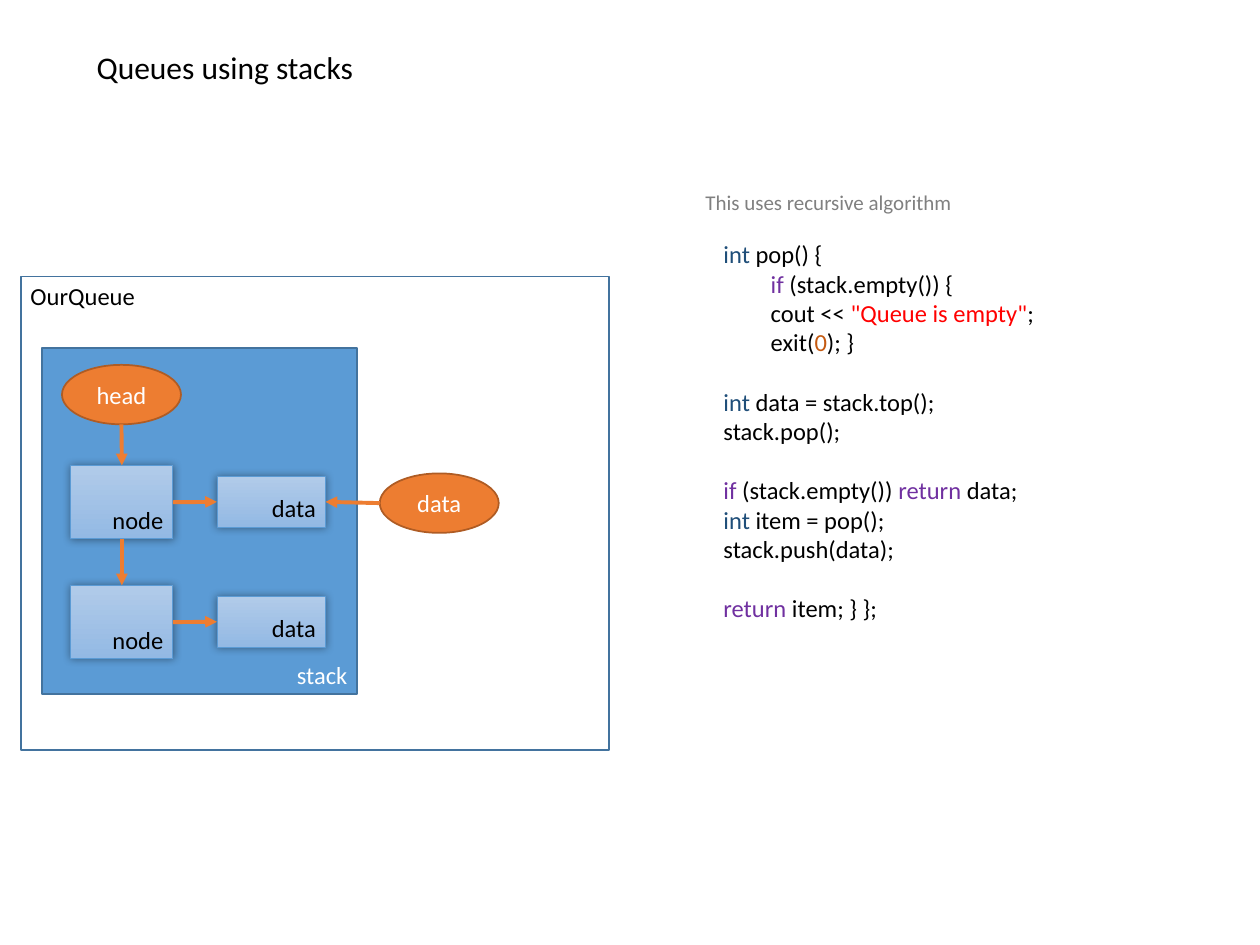
from lxml.etree import SubElement
from pptx import Presentation
from pptx.dml.color import RGBColor
from pptx.enum.shapes import MSO_CONNECTOR as CONNECTOR, MSO_SHAPE as SHAPE
from pptx.enum.text import MSO_ANCHOR as ANCHOR, PP_ALIGN as ALIGN
from pptx.oxml.ns import qn
from pptx.util import Pt

BLACK, WHITE, GREY = "000000", "FFFFFF", "808080"
BLUE, BLUE_EDGE = "5B9BD5", "43739E"
ORANGE, ORANGE_EDGE = "ED7D31", "AF5C24"
TYPE, KEYWORD, STRING, NUMBER = "1F4E79", "7030A0", "FF0000", "C55A11"
rgb = RGBColor.from_string


def add_run(paragraph, text, color=BLACK, size=14):
    run = paragraph.add_run()
    run.text = text
    run.font.name = "Calibri"
    run.font.size = Pt(size)
    run.font.color.rgb = rgb(color)


def add_box(kind, bounds, label, fill, edge, color, align, anchor):
    box = slide.shapes.add_shape(kind, *map(Pt, bounds))
    box.shadow.inherit = False
    box.line.color.rgb = rgb(edge)
    box.line.width = Pt(1)
    if fill:
        box.fill.solid()
        box.fill.fore_color.rgb = rgb(fill)
    else:
        box.fill.background()
    frame = box.text_frame
    frame.margin_left = frame.margin_right = Pt(5.4)
    frame.margin_top = frame.margin_bottom = Pt(2.7)
    frame.vertical_anchor = anchor
    frame.paragraphs[0].alignment = align
    add_run(frame.paragraphs[0], label, color)
    return box


deck = Presentation()
deck.slide_width, deck.slide_height = Pt(720), Pt(540)
slide = deck.slides.add_slide(deck.slide_layouts[5])

# Title
title = slide.shapes.title
title.left, title.top, title.width, title.height = map(Pt, (48, 24, 163, 29))
title.text_frame.word_wrap = False
title.text_frame.vertical_anchor = ANCHOR.TOP
title.text_frame.paragraphs[0].alignment = ALIGN.LEFT
add_run(title.text_frame.paragraphs[0], "Queues using stacks", size=18)

# Remark above the code
remark = slide.shapes.add_textbox(Pt(396), Pt(105), Pt(157), Pt(22)).text_frame
remark.word_wrap = False
add_run(remark.paragraphs[0], "This uses recursive algorithm", GREY, 12)

# Code: indent, space before, coloured runs
INDENT, GAP = 27, 17
code_lines = [
    (0, 0, [("int", TYPE), (" pop() {", BLACK)]),
    (INDENT, 0, [("if", KEYWORD), (" (stack.empty()) {", BLACK)]),
    (INDENT, 0, [("cout << ", BLACK), ('"Queue is empty"', STRING), (";", BLACK)]),
    (INDENT, 0, [("exit(", BLACK), ("0", NUMBER), ("); }", BLACK)]),
    (0, GAP, [("int", TYPE), (" data = stack.top();", BLACK)]),
    (0, 0, [("stack.pop();", BLACK)]),
    (0, GAP, [("if", KEYWORD), (" (stack.empty()) ", BLACK),
              ("return", KEYWORD), (" data;", BLACK)]),
    (0, 0, [("int", TYPE), (" item = pop();", BLACK)]),
    (0, 0, [("stack.push(data);", BLACK)]),
    (0, GAP, [("return", KEYWORD), (" item; } };", BLACK)]),
]
code = slide.shapes.add_textbox(Pt(408), Pt(134), Pt(193), Pt(226)).text_frame
code.word_wrap = False
code.margin_left = code.margin_right = Pt(5.4)
code.margin_top = code.margin_bottom = Pt(2.7)
for number, (indent, gap, pieces) in enumerate(code_lines):
    line = code.add_paragraph() if number else code.paragraphs[0]
    line.space_before = Pt(gap)
    line._p.get_or_add_pPr().set("marL", str(int(Pt(indent))))
    for text, color in pieces:
        add_run(line, text, color)

# Queue, the stack inside it, and the two pointers
add_box(SHAPE.RECTANGLE, (12, 158, 336, 270.5), "OurQueue", None, BLUE_EDGE,
        BLACK, ALIGN.LEFT, ANCHOR.TOP)
add_box(SHAPE.RECTANGLE, (24, 198.7, 180, 198), "stack", BLUE, BLUE_EDGE,
        WHITE, ALIGN.RIGHT, ANCHOR.BOTTOM)
head, popped = [
    add_box(SHAPE.OVAL, (left, top, 68, 34), label, ORANGE, ORANGE_EDGE,
            WHITE, ALIGN.CENTER, ANCHOR.MIDDLE)
    for label, left, top in (("head", 35.4, 208.5), ("data", 217, 270.5))]

# Each row of the stack: a node and its data
rows = []
for top in (266, 334.5):
    row = []
    for label, bounds in (("node", (40.5, top, 58.3, 42)),
                          ("data", (124, top + 6.3, 62, 29))):
        cell = add_box(SHAPE.RECTANGLE, bounds, label, None, BLUE,
                       BLACK, ALIGN.RIGHT, ANCHOR.BOTTOM)
        cell.line.width = Pt(0.5)
        cell.fill.gradient()
        cell.fill.gradient_angle = 270
        for stop, color in zip(cell.fill.gradient_stops, ("B1CBE9", "93B9E4")):
            stop.color.rgb = rgb(color)
        effects = cell._element.spPr.find(qn("a:effectLst"))
        shadow = SubElement(effects, qn("a:outerShdw"), blurRad=str(int(Pt(5))),
                            dist="0", dir="0", algn="ctr", rotWithShape="0")
        shade = SubElement(shadow, qn("a:srgbClr"), val=BLACK)
        SubElement(shade, qn("a:alpha"), val="40000")
        row.append(cell)
    rows.append(row)
(top_node, top_data), (next_node, next_data) = rows

# Arrows between the middles of sides, numbered as connection sites
TOP, LEFT, BOTTOM, RIGHT = range(4)
side_middles = {TOP: (0.5, 0), LEFT: (0, 0.5), BOTTOM: (0.5, 1), RIGHT: (1, 0.5)}
for start, start_side, end, end_side in (
        (head, BOTTOM, top_node, TOP),
        (top_node, RIGHT, top_data, LEFT),
        (top_node, BOTTOM, next_node, TOP),
        (next_node, RIGHT, next_data, LEFT),
        (popped, LEFT, top_data, RIGHT)):
    ends = []
    for box, side in ((start, start_side), (end, end_side)):
        across, down = side_middles[side]
        ends += [int(box.left + across * box.width),
                 int(box.top + down * box.height)]
    arrow = slide.shapes.add_connector(CONNECTOR.STRAIGHT, *ends)
    if start not in (head, popped):
        arrow.begin_connect(start, start_side)
    arrow.end_connect(end, end_side)
    arrow.line.color.rgb = rgb(ORANGE)
    arrow.line.width = Pt(2.25)
    SubElement(arrow.line._get_or_add_ln(), qn("a:tailEnd"), type="triangle")
    SubElement(arrow._element.spPr, qn("a:effectLst"))

deck.save("out.pptx")
